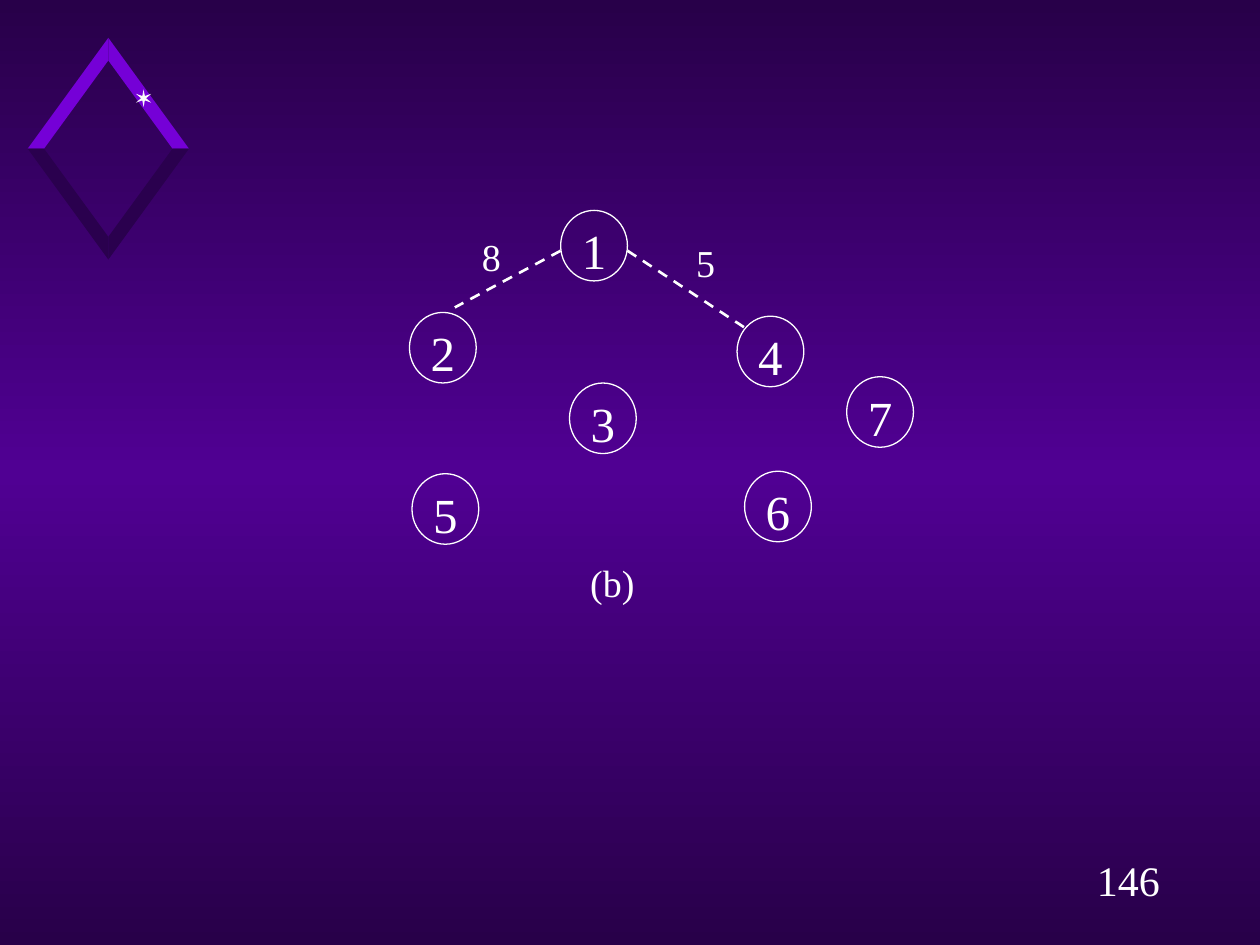
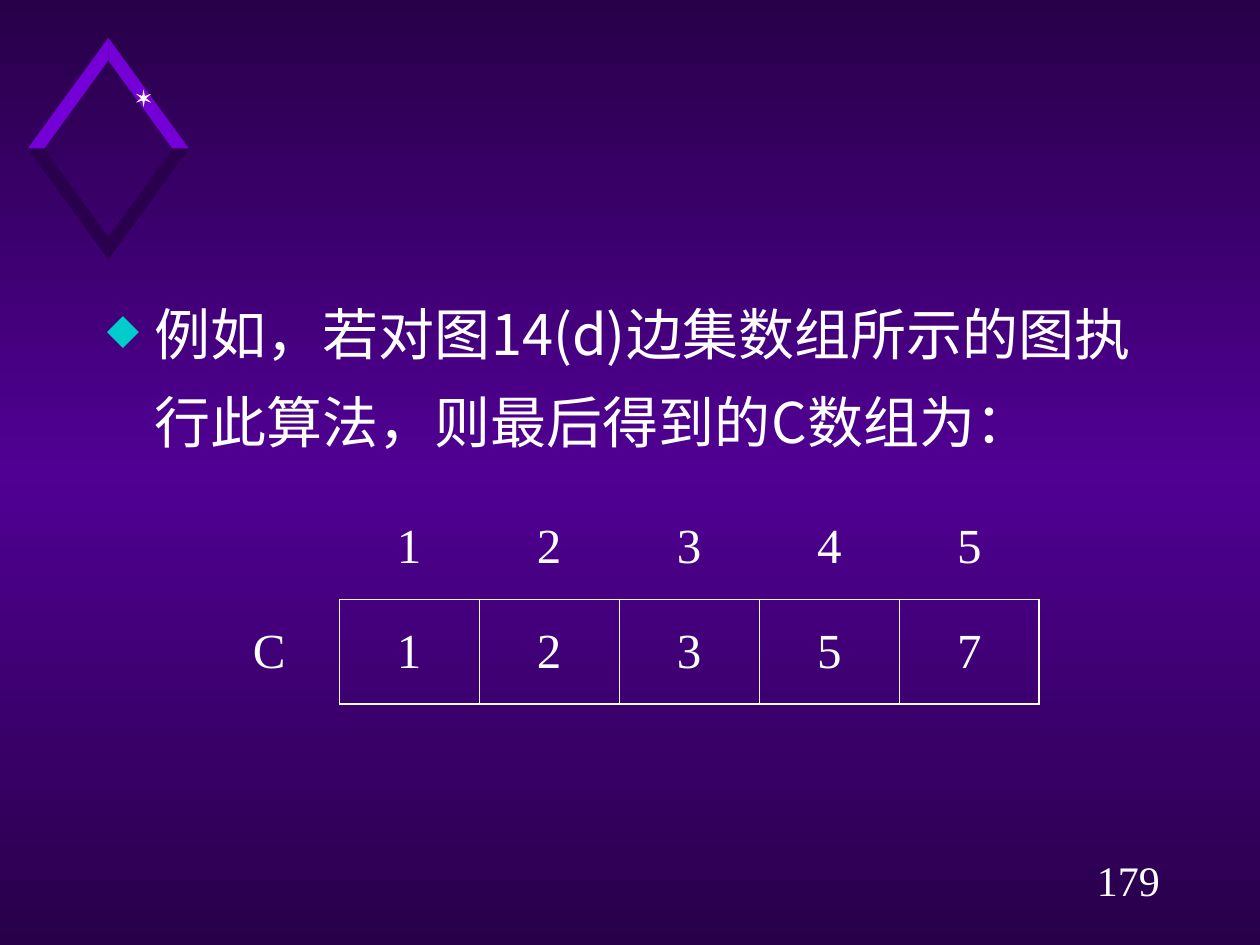
import math
from copy import deepcopy

from lxml import etree
from pptx import Presentation
from pptx.dml.color import RGBColor
from pptx.enum.dml import MSO_LINE
from pptx.enum.shapes import MSO_CONNECTOR, MSO_SHAPE
from pptx.enum.text import MSO_ANCHOR, PP_ALIGN
from pptx.oxml.ns import qn
from pptx.util import Inches, Pt

CENTER = PP_ALIGN.CENTER
MIDDLE, TOP = MSO_ANCHOR.MIDDLE, MSO_ANCHOR.TOP
OVAL = MSO_SHAPE.OVAL
STRAIGHT = MSO_CONNECTOR.STRAIGHT
DASH = MSO_LINE.DASH

COLORS = {
    "edge": "280049",
    "glow": "500093",
    "bright": "7500D7",
    "dark": "2A004E",
    "star": "F9F9F9",
    "text": "FFFFFF",
    "bullet": "00CCCC",
}
SERIF, HAN = "Times New Roman", "Noto Sans CJK SC"

NODE_SIZE = (0.53, 0.56)
NODES = {
    "1": (4.45, 1.67),
    "2": (3.25, 2.48),
    "3": (4.52, 3.04),
    "4": (5.85, 2.51),
    "5": (3.27, 3.76),
    "6": (5.91, 3.74),
    "7": (6.72, 2.99),
}
EDGES = [((4.45, 1.99), (3.61, 2.44)), ((4.98, 1.99), (5.91, 2.6))]
LABELS = [
    ("8", (3.66, 1.85, 0.48, 0.37)),
    ("5", (5.36, 1.9, 0.48, 0.37)),
    ("(b)", (4.44, 4.44, 0.84, 0.4)),
]
GRAPH_NUMBER, ARRAY_NUMBER = "146", "179"
STATEMENT = "例如，若对图14(d)边集数组所示的图执行此算法，则最后得到的C数组为："
ARRAY_ROWS = [["", "1", "2", "3", "4", "5"], ["C", "1", "2", "3", "5", "7"]]

DIAMOND_CENTER = (0.86, 1.18)
DIAMOND_OUTER, DIAMOND_INNER = (0.64, 0.88), (0.51, 0.7)
STAR_CENTER, STAR_RADII = (1.14, 0.78), (0.07, 0.02)


def rgb(name):
    return RGBColor.from_string(COLORS[name])


def style_text(paragraph, text, size, font=SERIF, align=CENTER):
    paragraph.text = text
    paragraph.alignment = align
    paragraph.font.size = Pt(size)
    paragraph.font.name = font
    paragraph.font.color.rgb = rgb("text")


def set_margins(frame, horizontal, vertical):
    frame.margin_left = frame.margin_right = Inches(horizontal)
    frame.margin_top = frame.margin_bottom = Inches(vertical)
    frame.word_wrap = True


def add_text_box(page, place, margins=(0, 0)):
    box = page.shapes.add_textbox(*map(Inches, place))
    set_margins(box.text_frame, *margins)
    return box.text_frame.paragraphs[0]


def add_polygon(group, points, color):
    corners = [(Inches(x), Inches(y)) for x, y in points]
    builder = group.shapes.build_freeform(*corners[0])
    builder.add_line_segments(corners[1:], close=True)
    shape = builder.convert_to_shape()
    shape.shadow.inherit = False
    shape.fill.solid()
    shape.fill.fore_color.rgb = rgb(color)
    shape.line.fill.background()


def add_diamond(page):
    group = page.shapes.add_group_shape()
    x, y = DIAMOND_CENTER
    (outer_x, outer_y), (inner_x, inner_y) = DIAMOND_OUTER, DIAMOND_INNER
    for down, color in ((-1, "bright"), (1, "dark")):
        for side in (1, -1):
            add_polygon(group, [
                (x, y + down * inner_y),
                (x, y + down * outer_y),
                (x + side * outer_x, y),
                (x + side * inner_x, y),
            ], color)
    star = []
    for step in range(12):
        radius, angle = STAR_RADII[step % 2], math.radians(30 * step - 90)
        star.append((STAR_CENTER[0] + radius * math.cos(angle),
                     STAR_CENTER[1] + radius * math.sin(angle)))
    add_polygon(group, star, "star")


def add_page(deck, number):
    page = deck.slides.add_slide(deck.slide_layouts[6])
    fill = page.background.fill
    fill.gradient()
    fill.gradient_angle = 270
    stop_list = page.element.find(".//" + qn("a:gsLst"))
    stop_list.append(deepcopy(stop_list[0]))
    stops = zip(fill.gradient_stops, (0, 0.5, 1), ("edge", "glow", "edge"))
    for stop, position, color in stops:
        stop.position = position
        stop.color.rgb = rgb(color)
    add_diamond(page)
    paragraph = add_text_box(page, (8.58, 6.73, 0.75, 0.5), (0, 0.05))
    style_text(paragraph, number, 24)
    return page


def build_graph_page(deck):
    page = add_page(deck, GRAPH_NUMBER)
    for text, place in LABELS:
        style_text(add_text_box(page, place), text, 21.7)
    for text, corner in NODES.items():
        node = page.shapes.add_shape(OVAL, *map(Inches, corner + NODE_SIZE))
        node.shadow.inherit = False
        node.fill.background()
        node.line.color.rgb = rgb("text")
        node.line.width = Pt(0.75)
        set_margins(node.text_frame, 0, 0)
        node.text_frame.vertical_anchor = TOP
        style_text(node.text_frame.paragraphs[0], text, 28)
    for start, end in EDGES:
        edge = page.shapes.add_connector(STRAIGHT, *map(Inches, start + end))
        edge.line.color.rgb = rgb("text")
        edge.line.width = Pt(1.5)
        edge.line.dash_style = DASH
        etree.SubElement(edge.element.spPr, qn("a:effectLst"))


def add_bullet(paragraph):
    properties = paragraph._p.get_or_add_pPr()
    properties.set("marL", str(Inches(0.38)))
    properties.set("indent", str(-Inches(0.38)))
    color = etree.SubElement(properties, qn("a:buClr"))
    etree.SubElement(color, qn("a:srgbClr"), val=COLORS["bullet"])
    etree.SubElement(properties, qn("a:buSzPct"), val="75000")
    etree.SubElement(properties, qn("a:buChar"), char="◆")


def border_widths(row, column):
    last = len(ARRAY_ROWS[0]) - 1
    if row == 0:
        return {"B": 0.45} if column else {}
    if column == 0:
        return {"R": 0.45}
    return {"L": 0.45, "R": 1.08 if column == last else 0.45,
            "T": 0.45, "B": 1.08}


def add_borders(cell, widths):
    properties = cell._tc.get_or_add_tcPr()
    for side in "LRTB":
        width = widths.get(side, 0)
        line = etree.SubElement(properties, qn("a:ln" + side), w=str(Pt(width)))
        if width:
            fill = etree.SubElement(line, qn("a:solidFill"))
            etree.SubElement(fill, qn("a:srgbClr"), val=COLORS["text"])
        else:
            etree.SubElement(line, qn("a:noFill"))


def build_array_page(deck):
    page = add_page(deck, ARRAY_NUMBER)
    paragraph = add_text_box(page, (0.75, 2.17, 8.5, 1.5), (0.1, 0.05))
    paragraph.line_spacing = 1.3
    add_bullet(paragraph)
    style_text(paragraph, STATEMENT, 32, HAN, PP_ALIGN.LEFT)
    etree.SubElement(paragraph.font._element, qn("a:ea"), typeface=HAN)

    place = map(Inches, (1.58, 3.92, 6.67, 1.67))
    table = page.shapes.add_table(len(ARRAY_ROWS), len(ARRAY_ROWS[0]), *place).table
    table.first_row = table.horz_banding = False
    for row, values in enumerate(ARRAY_ROWS):
        for column, value in enumerate(values):
            cell = table.cell(row, column)
            add_borders(cell, border_widths(row, column))
            cell.fill.background()
            cell.vertical_anchor = MIDDLE
            style_text(cell.text_frame.paragraphs[0], value, 28)


def main():
    deck = Presentation()
    deck.slide_width, deck.slide_height = Inches(10), Inches(7.5)
    build_graph_page(deck)
    build_array_page(deck)
    deck.save("out.pptx")


if __name__ == "__main__":
    main()
